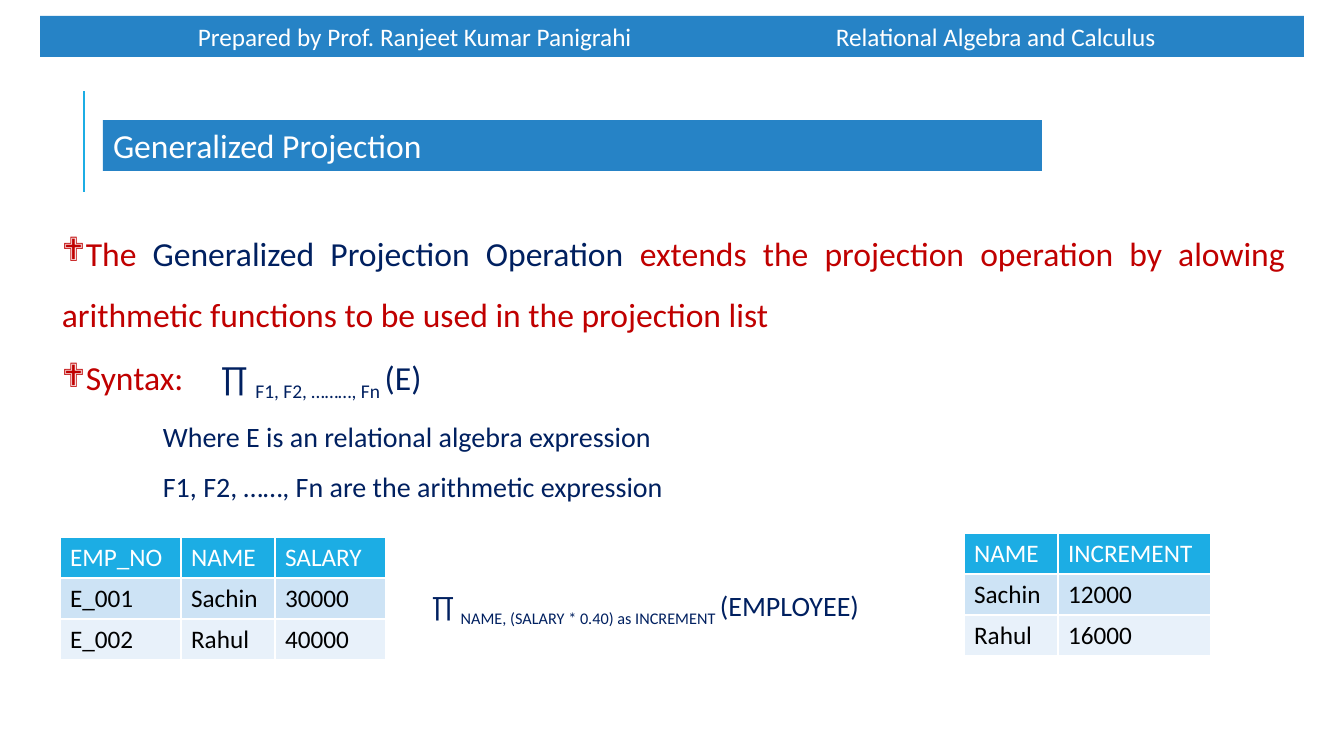
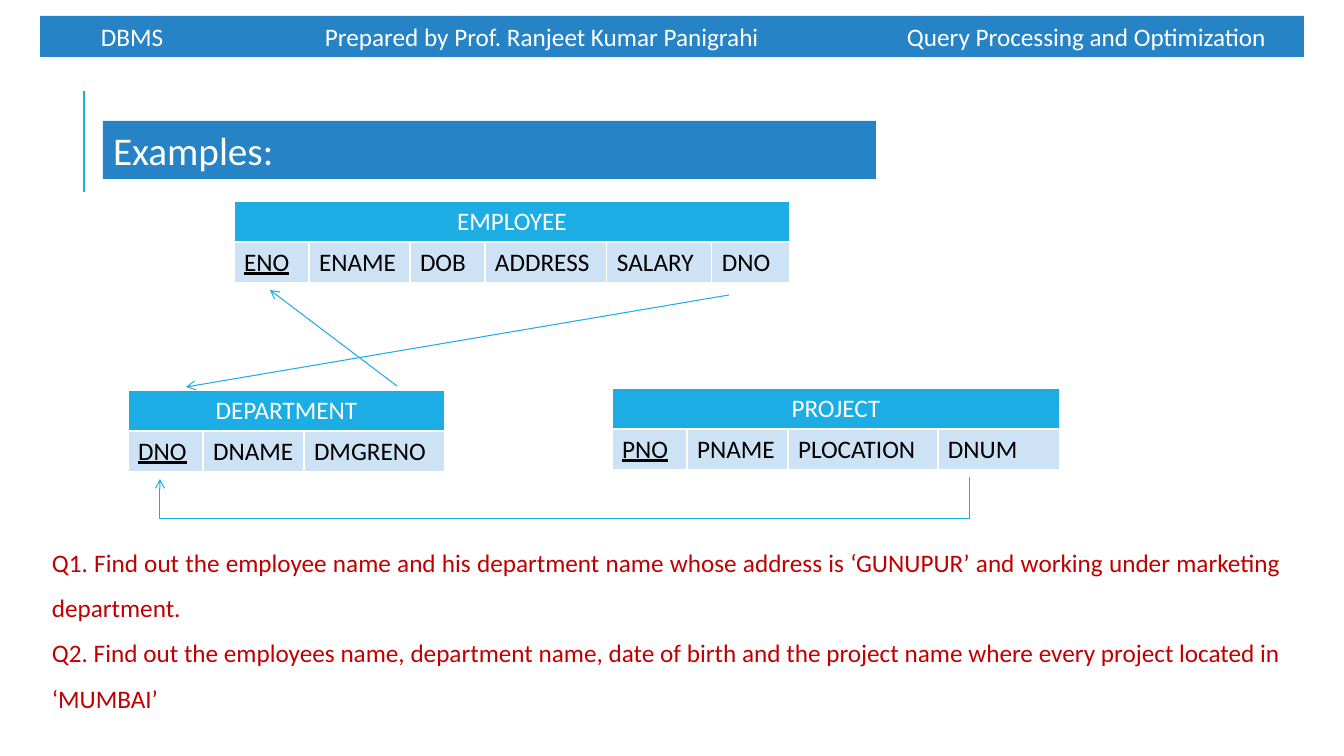
from lxml import etree
from pptx import Presentation
from pptx.dml.color import RGBColor
from pptx.enum import shapes, text
from pptx.oxml.ns import qn

EMU_PER_PX = 914400 / 100.8
PT = 12700
FONT = "Calibri"
BAND, ACCENT = "2683C6", "1CADE4"
ROW_FILLS = ["CDE3F5", "E8F1FA"]
WHITE, BLACK, RED, NAVY = "FFFFFF", "000000", "C00000", "002060"
ROW_HEIGHT = 41
HEADER_BOX = (40, 16, 1264, 41)


def px(*lengths):
    """Turn pixel lengths into EMU."""
    return [round(length * EMU_PER_PX) for length in lengths]


def colour(value):
    """Turn a hex string into a colour."""
    return RGBColor.from_string(value)


def fill(target, value):
    """Give a shape or cell a solid fill."""
    target.fill.solid()
    target.fill.fore_color.rgb = colour(value)


def style(span, size, value, lowered=False):
    """Format one run, lowered as a subscript if asked."""
    span.font.name = FONT
    span.font.size = size * PT
    span.font.bold = False
    span.font.color.rgb = colour(value)
    if lowered:
        span._r.get_or_add_rPr().set("baseline", "-25000")


def add_spans(para, size, spans):
    """Add formatted runs given as (words, colour, lowered)."""
    for words, value, lowered in spans:
        span = para.add_run()
        span.text = words
        style(span, size, value, lowered)


def formula(subscript, relation):
    """Return the runs of a projection expression."""
    return [("∏ ", NAVY, False), (subscript + " ", NAVY, True), (relation, NAVY, False)]


def set_bullet(para, mark):
    """Give a paragraph a bullet character."""
    props = para._p.get_or_add_pPr()
    props.set("marL", "0")
    props.set("indent", "0")
    etree.SubElement(props, qn("a:buFont"), typeface="Wingdings")
    etree.SubElement(props, qn("a:buChar"), char=mark)


def set_tabs(para, stops):
    """Give a paragraph left tab stops in px."""
    tabs = etree.SubElement(para._p.get_or_add_pPr(), qn("a:tabLst"))
    for stop in px(*stops):
        etree.SubElement(tabs, qn("a:tab"), pos=str(stop), algn="l")


def add_text(page, box, size, paras):
    """Add a text box and return its paragraphs, one for each list of runs."""
    frame = page.shapes.add_textbox(*px(*box)).text_frame
    frame.word_wrap = True
    result = []
    for index, spans in enumerate(paras):
        para = frame.add_paragraph() if index else frame.paragraphs[0]
        add_spans(para, size, spans)
        result.append(para)
    return result


def justify(paras):
    """Justify paragraphs at one and a half lines."""
    for para in paras:
        para.alignment = text.PP_ALIGN.JUSTIFY
        para.line_spacing = 1.5


def add_line(page, start, end, width=0.75, arrow=False):
    """Draw a straight line, with an open arrowhead at its end if asked."""
    line = page.shapes.add_connector(shapes.MSO_CONNECTOR.STRAIGHT, *px(*start, *end))
    line.line.color.rgb = colour(ACCENT)
    line.line.width = int(width * PT)
    props = line._element.spPr
    if arrow:
        etree.SubElement(props.find(qn("a:ln")), qn("a:tailEnd"), type="arrow")
    etree.SubElement(props, qn("a:effectLst"))


def add_route(page, *points):
    """Join points by lines and end in an arrowhead."""
    for start, end in zip(points, points[1:]):
        add_line(page, start, end, arrow=end == points[-1])


def add_header(page, labels):
    """Add the top band with labels given as (offset in the band, words)."""
    band = page.shapes.add_shape(shapes.MSO_SHAPE.RECTANGLE, *px(*HEADER_BOX))
    band.shadow.inherit = False
    fill(band, BAND)
    band.line.fill.background()
    frame = band.text_frame
    first = labels[0][0]
    frame.margin_left, = px(first)
    para = frame.paragraphs[0]
    set_tabs(para, [offset - first for offset, words in labels[1:]])
    para.alignment = text.PP_ALIGN.LEFT
    add_spans(para, 18, [("\t".join(words for offset, words in labels), WHITE, False)])


def add_title(page, words, box, size):
    """Format the title placeholder as a band beside the accent rule."""
    add_line(page, (84, 192), (84, 91), 1.5)
    title = page.shapes.title
    title.left, title.top, title.width, title.height = px(*box)
    fill(title, BAND)
    frame = title.text_frame
    frame.text = words
    frame.auto_size = text.MSO_AUTO_SIZE.NONE
    frame.vertical_anchor = text.MSO_ANCHOR.MIDDLE
    frame.paragraphs[0].alignment = text.PP_ALIGN.LEFT
    style(frame.paragraphs[0].runs[0], size, WHITE)


def add_grid(page, left, top, widths, rows):
    """Add a table with a coloured first row and return it."""
    box = px(left, top, sum(widths), ROW_HEIGHT * len(rows))
    table = page.shapes.add_table(len(rows), len(widths), *box).table
    for column, width in zip(table.columns, px(*widths)):
        column.width = width
    for row_index, row in enumerate(rows):
        for column_index in range(len(widths)):
            cell = table.cell(row_index, column_index)
            fill(cell, ROW_FILLS[(row_index - 1) % 2] if row_index else ACCENT)
            if column_index < len(row):
                ink = BLACK if row_index else WHITE
                add_spans(cell.text_frame.paragraphs[0], 18, [(row[column_index], ink, False)])
    return table


def add_relation(page, left, top, name, fields):
    """Add a schema table: name across the top, key field underlined."""
    names, widths = zip(*fields)
    table = add_grid(page, left, top, widths, [[name], names])
    heading = table.cell(0, 0)
    heading.merge(table.cell(0, len(fields) - 1))
    heading.text_frame.paragraphs[0].alignment = text.PP_ALIGN.CENTER
    table.cell(1, 0).text_frame.paragraphs[0].runs[0].font.underline = True


def build_projection(page):
    """Build the slide on generalized projection."""
    add_header(page, [(158, "Prepared by Prof. Ranjeet Kumar Panigrahi"),
                      (796, "Relational Algebra and Calculus")])
    add_title(page, "Generalized Projection", (103, 120, 939, 51), 24)
    points = add_text(page, (52, 208, 1243, 295), 24, [
        [("The ", RED, False),
         ("Generalized Projection Operation ", NAVY, False),
         ("extends the projection operation by alowing arithmetic functions "
          "to be used in the projection list", RED, False)],
        [("Syntax:\t", RED, False), *formula("F1, F2, ………, Fn", "(E)")],
        [("Where E is an relational algebra expression", NAVY, False)],
        [("F1, F2, ……, Fn are the arithmetic expression", NAVY, False)],
    ])
    for para in points[:2]:
        set_bullet(para, "❖")
    set_tabs(points[1], [159])
    for para in points[2:]:
        para._p.get_or_add_pPr().set("marL", str(px(101)[0]))
        para.runs[0].font.size = 20 * PT
    justify(points)
    add_grid(page, 60, 537, [121, 94, 111], [
        ["EMP_NO", "NAME", "SALARY"],
        ["E_001", "Sachin", "30000"],
        ["E_002", "Rahul", "40000"],
    ])
    add_text(page, (422, 584, 499, 44), 20,
             [formula("NAME, (SALARY * 0.40) as INCREMENT", "(EMPLOYEE)")])
    add_grid(page, 964, 533, [94, 153], [
        ["NAME", "INCREMENT"], ["Sachin", "12000"], ["Rahul", "16000"],
    ])


def build_examples(page):
    """Build the slide with the schema and its queries."""
    add_header(page, [(61, "DBMS"),
                      (285, "Prepared by Prof. Ranjeet Kumar Panigrahi"),
                      (867, "Query Processing and Optimization")])
    add_title(page, "Examples:", (103, 121, 773, 58), 28)
    add_relation(page, 234, 201, "EMPLOYEE", [
        ("ENO", 75), ("ENAME", 101), ("DOB", 75),
        ("ADDRESS", 122), ("SALARY", 105), ("DNO", 78)])
    add_relation(page, 128, 390, "DEPARTMENT", [
        ("DNO", 75), ("DNAME", 101), ("DMGRENO", 141)])
    add_relation(page, 612, 388, "PROJECT", [
        ("PNO", 75), ("PNAME", 101), ("PLOCATION", 150), ("DNUM", 122)])
    add_route(page, (729, 295), (186, 387))
    add_route(page, (397, 386), (270, 290))
    add_route(page, (970, 477), (970, 519), (160, 519), (160, 479))
    justify(add_text(page, (42, 527, 1249, 194), 18, [
        [("Q1. Find out the employee name and his department name whose address is "
          "‘GUNUPUR’ and working under marketing department.", RED, False)],
        [("Q2. Find out the employees name, department name, date of birth and the "
          "project name where every project located in ‘MUMBAI’", RED, False)],
    ]))


def main():
    """Build and save the deck."""
    deck = Presentation()
    deck.slide_width, deck.slide_height = px(1344, 756)
    for build in (build_projection, build_examples):
        build(deck.slides.add_slide(deck.slide_layouts[5]))
    deck.save("out.pptx")


if __name__ == "__main__":
    main()
